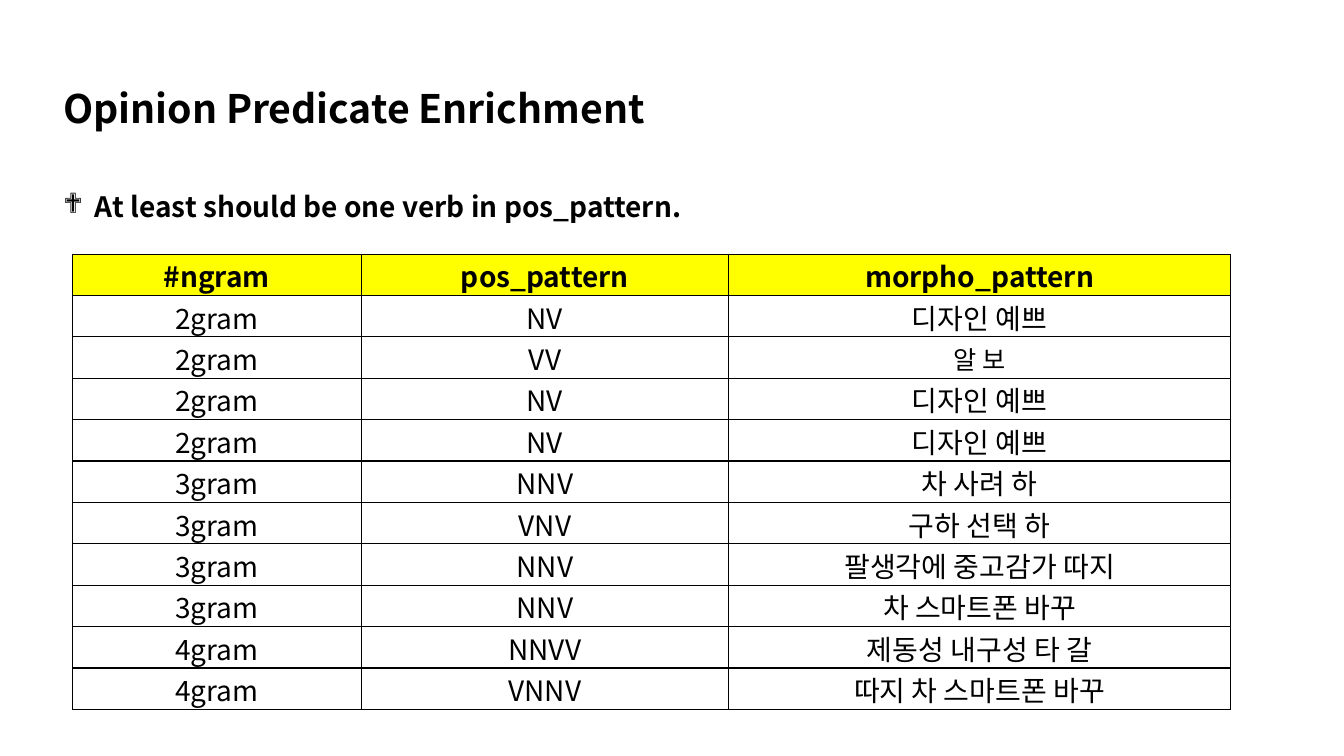
from lxml.etree import SubElement
from pptx import Presentation
from pptx.dml.color import RGBColor
from pptx.enum.text import MSO_ANCHOR as Anchor, MSO_AUTO_SIZE as AutoSize, PP_ALIGN as Align
from pptx.oxml import parse_xml
from pptx.oxml.ns import nsdecls, qn
from pptx.util import Pt

PX = 9525  # 96 px to the inch
FONT = "Noto Sans CJK KR"
BLACK = RGBColor(0x00, 0x00, 0x00)
WHITE = RGBColor(0xFF, 0xFF, 0xFF)
YELLOW = RGBColor(0xFF, 0xFF, 0x00)

COL_WIDTHS = (275, 350, 478)
HEADER = ("#ngram", "pos_pattern", "morpho_pattern")
PATTERNS = [
    ("2gram", "NV", "디자인 예쁘"),
    ("2gram", "VV", "알 보"),
    ("2gram", "NV", "디자인 예쁘"),
    ("2gram", "NV", "디자인 예쁘"),
    ("3gram", "NNV", "차 사려 하"),
    ("3gram", "VNV", "구하 선택 하"),
    ("3gram", "NNV", "팔생각에 중고감가 따지"),
    ("3gram", "NNV", "차 스마트폰 바꾸"),
    ("4gram", "NNVV", "제동성 내구성 타 갈"),
    ("4gram", "VNNV", "따지 차 스마트폰 바꾸"),
]
SMALL_TEXT = "알 보"


def px(n):
    return int(n * PX)


def add_run(p, text, size, bold):
    r = p.add_run()
    r.text = text
    r.font.name = FONT
    r.font.size = Pt(size)
    r.font.bold = bold
    r.font.color.rgb = BLACK
    SubElement(r.font._element, qn("a:ea")).set("typeface", FONT)


def add_textbox(slide, box):
    tf = slide.shapes.add_textbox(*map(px, box)).text_frame
    tf.word_wrap = True
    return tf


def add_title(slide, box, text):
    tf = add_textbox(slide, box)
    tf.vertical_anchor = Anchor.MIDDLE
    p = tf.paragraphs[0]
    p.line_spacing = 0.9
    add_run(p, text, 28, True)


def add_bullet(slide, box, text):
    tf = add_textbox(slide, box)
    tf.auto_size = AutoSize.SHAPE_TO_FIT_TEXT
    p = tf.paragraphs[0]
    pPr = p._p.get_or_add_pPr()
    pPr.set("marL", str(px(30)))
    pPr.set("indent", str(px(-30)))
    SubElement(pPr, qn("a:buFont")).set("typeface", "Wingdings")
    SubElement(pPr, qn("a:buChar")).set("char", "❖")
    add_run(p, text, 20, True)


def set_borders(cell):
    tcPr = cell._tc.get_or_add_tcPr()
    for i, side in enumerate(("lnL", "lnR", "lnT", "lnB")):
        tcPr.insert(i, parse_xml(
            f'<a:{side} {nsdecls("a")} w="{Pt(1)}"><a:solidFill>'
            f'<a:srgbClr val="{BLACK}"/></a:solidFill></a:{side}>'))


def fill_cell(cell, text, is_header):
    cell.fill.solid()
    cell.fill.fore_color.rgb = YELLOW if is_header else WHITE
    set_borders(cell)
    cell.vertical_anchor = Anchor.MIDDLE
    cell.margin_left = cell.margin_right = cell.margin_top = px(1)
    cell.margin_bottom = 0
    p = cell.text_frame.paragraphs[0]
    p.alignment = Align.CENTER
    add_run(p, text, 18 if text == SMALL_TEXT else 20, is_header)


def add_pattern_table(slide, box):
    rows = [HEADER] + PATTERNS
    table = slide.shapes.add_table(len(rows), len(HEADER), *map(px, box)).table
    table.horz_banding = False
    for col, width in zip(table.columns, COL_WIDTHS):
        col.width = px(width)
    for i, values in enumerate(rows):
        table.rows[i].height = px(box[3]) // len(rows)
        for j, text in enumerate(values):
            fill_cell(table.cell(i, j), text, i == 0)


def main():
    prs = Presentation()
    prs.slide_width, prs.slide_height = px(1280), px(720)
    slide = prs.slides.add_slide(prs.slide_layouts[6])
    add_title(slide, (51, 36, 1104, 139), "Opinion Predicate Enrichment")
    add_pattern_table(slide, (69, 242, sum(COL_WIDTHS), 434))
    add_bullet(slide, (51, 176, 816, 42), "At least should be one verb in pos_pattern.")
    prs.save("out.pptx")


if __name__ == "__main__":
    main()
